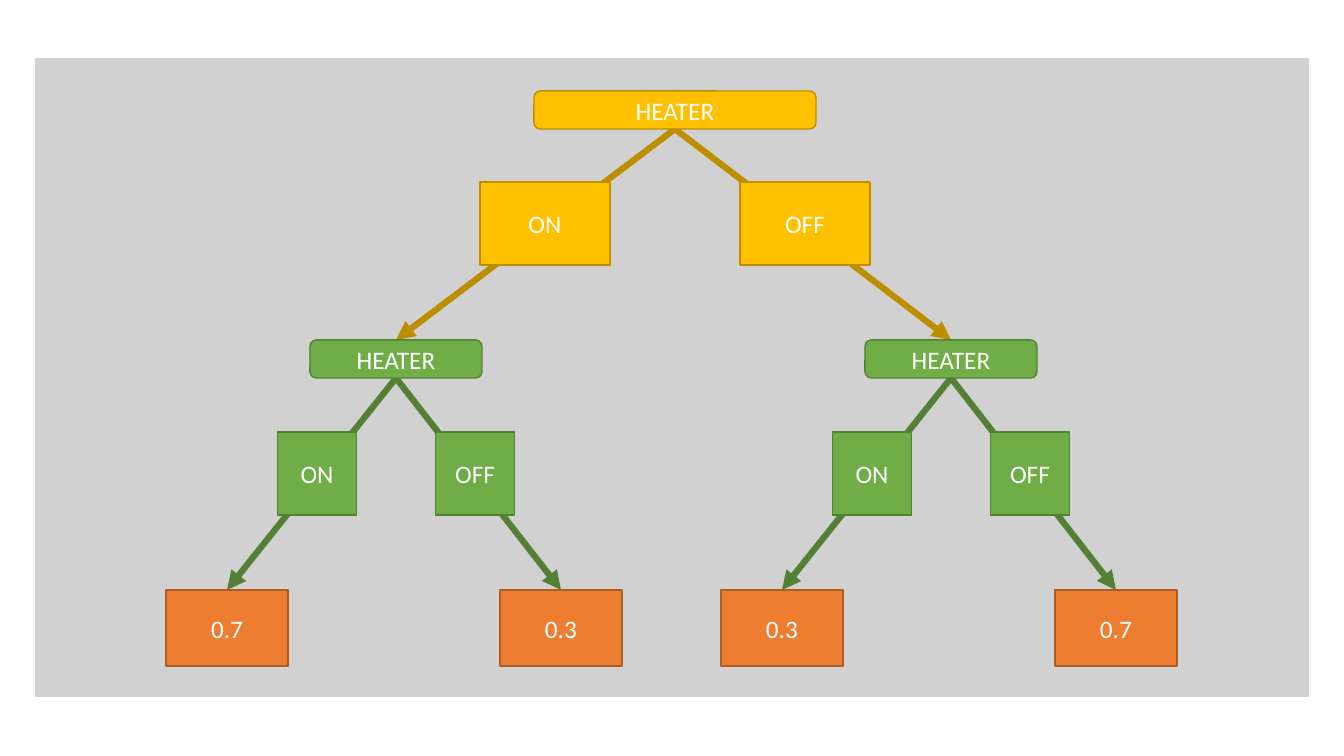
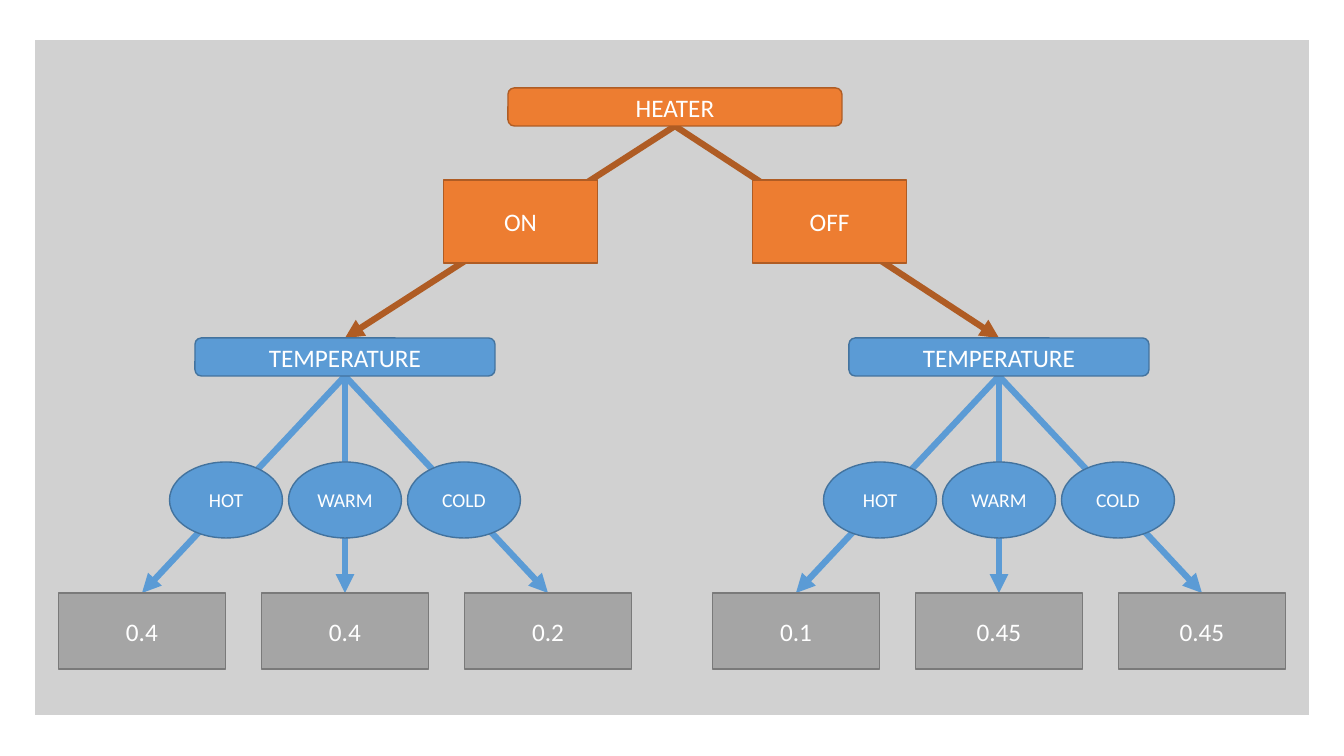
from lxml.etree import SubElement
from pptx import Presentation
from pptx.dml.color import RGBColor
from pptx.enum.shapes import MSO_CONNECTOR, MSO_SHAPE
from pptx.enum.text import MSO_ANCHOR, PP_ALIGN
from pptx.oxml.ns import qn
from pptx.util import Pt

EMU_PER_PX = 12192000 / 1344
SLIDE_WIDTH, SLIDE_HEIGHT = 1344, 756
BLANK_LAYOUT = 6
TOP_SIDE, BOTTOM_SIDE = 0, 2
PANEL_LEFT, PANEL_WIDTH = 35, 1274
PANEL_OPACITY = 50
ROOT_CENTER = 675
HEADING_HEIGHT = 38
CHOICE_HEIGHT = 83
OUTCOME_HEIGHT = 76

COLORS = {
    "white": "FFFFFF",
    "gold": "FFC000", "gold_edge": "BD8E00",
    "green": "70AD47", "green_edge": "538035",
    "orange": "ED7D31", "orange_edge": "AF5C24",
    "blue": "5B9BD5", "blue_edge": "43739E",
    "gray": "A5A5A5", "gray_edge": "7A7A7A",
}
FONT_FORMAT = {"name": "Calibri", "size": Pt(18), "bold": False}
PARAGRAPH_FORMAT = {"alignment": PP_ALIGN.CENTER}
FRAME_FORMAT = {"word_wrap": True, "vertical_anchor": MSO_ANCHOR.MIDDLE}

HEATER_TREE = {
    "panel": {"top": 58, "height": 639},
    "root": {"text": "HEATER", "top": 91, "width": 282, "color": "gold"},
    "root_arrow": "gold_edge",
    "root_choices": {"texts": ["ON", "OFF"], "top": 182, "width": 130,
                     "height": CHOICE_HEIGHT, "step": 260, "color": "gold"},
    "heading": {"text": "HEATER", "top": 340, "width": 172, "color": "green"},
    "arrow": "green_edge",
    "choices": {"texts": ["ON", "OFF"], "top": 432, "width": 79,
                "height": CHOICE_HEIGHT, "step": 158, "color": "green"},
    "outcomes": {"top": 590, "width": 122, "height": OUTCOME_HEIGHT,
                 "step": 334, "color": "orange"},
    "outcome_shift": -2,
    "branches": [(396, ["0.7", "0.3"]), (951, ["0.3", "0.7"])],
}
TEMPERATURE_TREE = {
    "panel": {"top": 40, "height": 675},
    "root": {"text": "HEATER", "top": 88, "width": 334, "color": "orange"},
    "root_arrow": "orange_edge",
    "root_choices": {"texts": ["ON", "OFF"], "top": 180, "width": 154,
                     "height": CHOICE_HEIGHT, "step": 309, "color": "orange"},
    "heading": {"text": "TEMPERATURE", "top": 338, "width": 300, "color": "blue"},
    "arrow": "blue",
    "choices": {"texts": ["HOT", "WARM", "COLD"], "top": 462, "width": 113,
                "height": OUTCOME_HEIGHT, "step": 119, "color": "blue",
                "kind": MSO_SHAPE.OVAL, "size": Pt(14)},
    "outcomes": {"top": 593, "width": 167, "height": OUTCOME_HEIGHT,
                 "step": 203, "color": "gray"},
    "outcome_shift": 0,
    "branches": [(345, ["0.4", "0.4", "0.2"]), (999, ["0.1", "0.45", "0.45"])],
}


def px(length):
    return round(length * EMU_PER_PX)


def rgb(color):
    return RGBColor.from_string(COLORS[color])


def apply_format(target, values):
    for name, value in values.items():
        setattr(target, name, value)


def add_filled_shape(slide, kind, left, top, width, height, color):
    shape = slide.shapes.add_shape(kind, px(left), px(top), px(width), px(height))
    shape.shadow.inherit = False
    shape.fill.solid()
    shape.fill.fore_color.rgb = rgb(color)
    return shape


def add_panel(slide, top, height):
    panel = add_filled_shape(slide, MSO_SHAPE.RECTANGLE, PANEL_LEFT, top,
                             PANEL_WIDTH, height, "gray")
    panel.line.fill.background()
    color_element = panel.element.spPr.find(qn("a:solidFill"))[0]
    SubElement(color_element, qn("a:alpha"), val=str(PANEL_OPACITY * 1000))
    return panel


def add_node(slide, text, center, top, width, height, color,
             kind=MSO_SHAPE.RECTANGLE, size=Pt(18)):
    node = add_filled_shape(slide, kind, center - width / 2, top, width, height, color)
    node.line.color.rgb = rgb(f"{color}_edge")
    node.line.width = Pt(1)
    apply_format(node.text_frame, FRAME_FORMAT)
    paragraph = node.text_frame.paragraphs[0]
    apply_format(paragraph, PARAGRAPH_FORMAT)
    run = paragraph.add_run()
    run.text = text
    apply_format(run.font, {**FONT_FORMAT, "size": size})
    run.font.color.rgb = rgb("white")
    return node


def add_heading(slide, center, **heading):
    return add_node(slide, center=center, height=HEADING_HEIGHT,
                    kind=MSO_SHAPE.ROUNDED_RECTANGLE, **heading)


def add_row(slide, center, texts, step, **node_format):
    first_center = center - step * (len(texts) - 1) / 2
    return [add_node(slide, text, first_center + index * step, **node_format)
            for index, text in enumerate(texts)]


def add_arrow(slide, panel, parent, child, color):
    arrow = slide.shapes.add_connector(MSO_CONNECTOR.STRAIGHT, 0, 0, 0, 0)
    arrow.begin_connect(parent, BOTTOM_SIDE)
    arrow.end_connect(child, TOP_SIDE)
    arrow.line.color.rgb = rgb(color)
    arrow.line.width = Pt(4.5)
    properties = arrow.element.spPr
    SubElement(properties.find(qn("a:ln")), qn("a:tailEnd"), type="triangle")
    SubElement(properties, qn("a:effectLst"))
    panel.element.addnext(arrow.element)


def add_tree(slide, tree):
    panel = add_panel(slide, **tree["panel"])
    root = add_heading(slide, ROOT_CENTER, **tree["root"])
    add_row(slide, ROOT_CENTER, **tree["root_choices"])
    for center, values in tree["branches"]:
        heading = add_heading(slide, center, **tree["heading"])
        add_arrow(slide, panel, root, heading, tree["root_arrow"])
        add_row(slide, center, **tree["choices"])
        outcomes = add_row(slide, center + tree["outcome_shift"], values,
                           **tree["outcomes"])
        for outcome in outcomes:
            add_arrow(slide, panel, heading, outcome, tree["arrow"])


def main():
    presentation = Presentation()
    apply_format(presentation, {"slide_width": px(SLIDE_WIDTH),
                                "slide_height": px(SLIDE_HEIGHT)})
    for tree in (HEATER_TREE, TEMPERATURE_TREE):
        slide = presentation.slides.add_slide(presentation.slide_layouts[BLANK_LAYOUT])
        add_tree(slide, tree)
    presentation.save("out.pptx")


if __name__ == "__main__":
    main()
